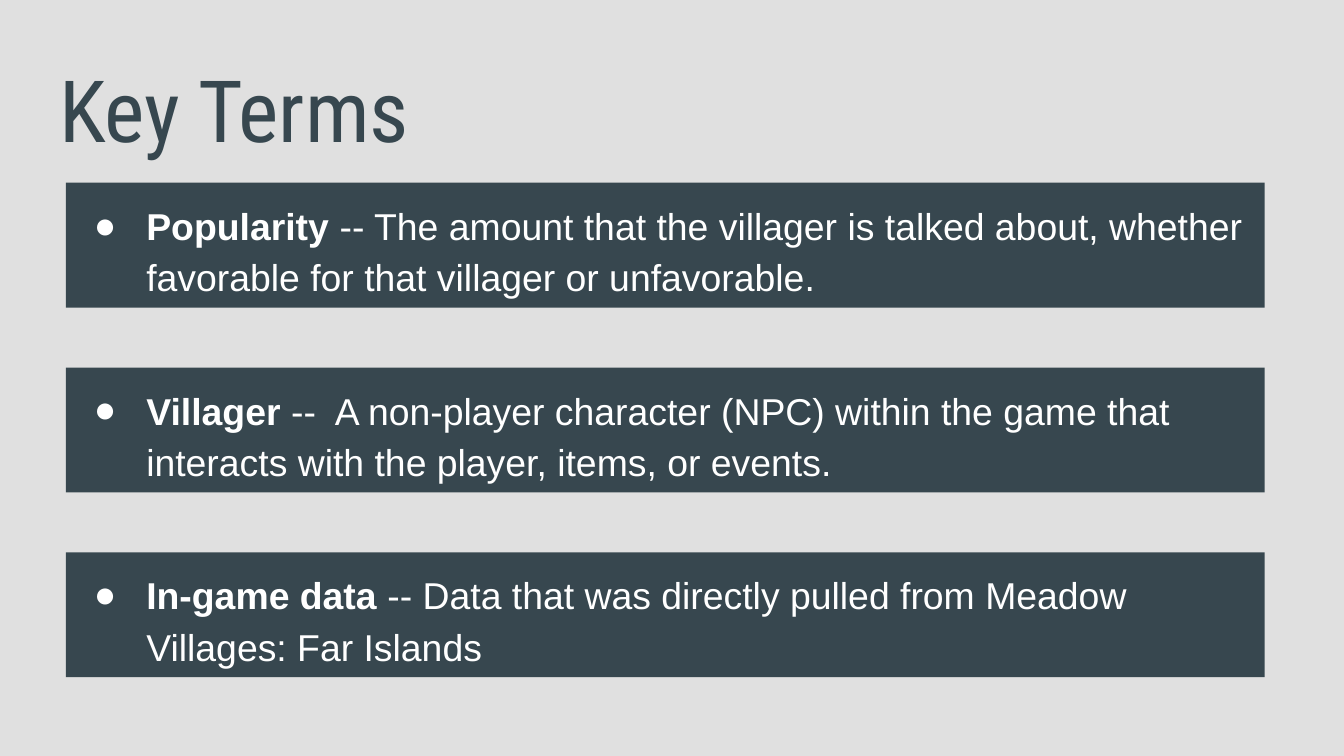
from lxml.etree import SubElement
from pptx import Presentation
from pptx.dml.color import RGBColor
from pptx.enum.shapes import MSO_SHAPE
from pptx.enum.text import MSO_ANCHOR, MSO_AUTO_SIZE, PP_ALIGN
from pptx.oxml.ns import qn
from pptx.util import Inches, Pt

TITLE = "Key Terms"
TERMS = [
    ("Popularity", " -- The amount that the villager is talked about, "
     "whether favorable for that villager or unfavorable."),
    ("Villager ", "--  A non-player character (NPC) within the game that "
     "interacts with the player, items, or events."),
    ("In-game data", " -- Data that was directly pulled from Meadow "
     "Villages: Far Islands"),
]
COLORS = {"back": "E0E0E0", "dark": "37474F", "light": "FFFFFF"}
WIDE = 10
HIGH = WIDE * 9 / 16
LEFT, TOP, LAST = 0.49, 1.36, 4.11
BAR_W, BAR_H = 8.92, 0.93
STEP = (LAST - TOP) / (len(TERMS) - 1)


def color(name):
    return RGBColor.from_string(COLORS[name])


def style(run, face, size, tint, bold=False):
    font = run.font
    font.name, font.size, font.bold = face, Pt(size), bold
    font.color.rgb = color(tint)


def pad(frame):
    frame.word_wrap = True
    frame.margin_left = frame.margin_right = Inches(0.1)
    frame.margin_top = frame.margin_bottom = Inches(0.1)


def bullet(para):
    para.alignment = PP_ALIGN.LEFT
    para.line_spacing = 1.15
    props = para._p.get_or_add_pPr()
    props.set("marL", str(Inches(0.5)))
    props.set("indent", str(Inches(-0.39)))
    tint = SubElement(props, qn("a:buClr"))
    SubElement(tint, qn("a:srgbClr"), val=COLORS["light"])
    SubElement(props, qn("a:buFont"), typeface="Arial")
    SubElement(props, qn("a:buChar"), char="●")


def add_title(slide):
    title = slide.shapes.title
    title.left, title.top = Inches(0.34), Inches(0.49)
    title.width, title.height = Inches(9.32), Inches(0.63)
    frame = title.text_frame
    frame.text = TITLE
    pad(frame)
    frame.auto_size = MSO_AUTO_SIZE.NONE
    frame.vertical_anchor = MSO_ANCHOR.MIDDLE
    para = frame.paragraphs[0]
    para.alignment = PP_ALIGN.LEFT
    style(para.runs[0], "Roboto Condensed", 46, "dark")


def add_term(slide, row, term, meaning):
    bar = slide.shapes.add_shape(
        MSO_SHAPE.RECTANGLE, Inches(LEFT), Inches(TOP + row * STEP),
        Inches(BAR_W), Inches(BAR_H))
    bar.shadow.inherit = False
    bar.fill.solid()
    bar.fill.fore_color.rgb = color("dark")
    bar.line.fill.background()
    frame = bar.text_frame
    pad(frame)
    frame.auto_size = MSO_AUTO_SIZE.SHAPE_TO_FIT_TEXT
    frame.vertical_anchor = MSO_ANCHOR.TOP
    para = frame.paragraphs[0]
    bullet(para)
    for text, bold in ((term, True), (meaning, False)):
        run = para.add_run()
        run.text = text
        style(run, "Arial", 20, "light", bold)


def main():
    deck = Presentation()
    deck.slide_width, deck.slide_height = Inches(WIDE), Inches(HIGH)
    slide = deck.slides.add_slide(deck.slide_layouts[5])
    slide.background.fill.solid()
    slide.background.fill.fore_color.rgb = color("back")
    add_title(slide)
    for row, (term, meaning) in enumerate(TERMS):
        add_term(slide, row, term, meaning)
    deck.save("out.pptx")


if __name__ == "__main__":
    main()
